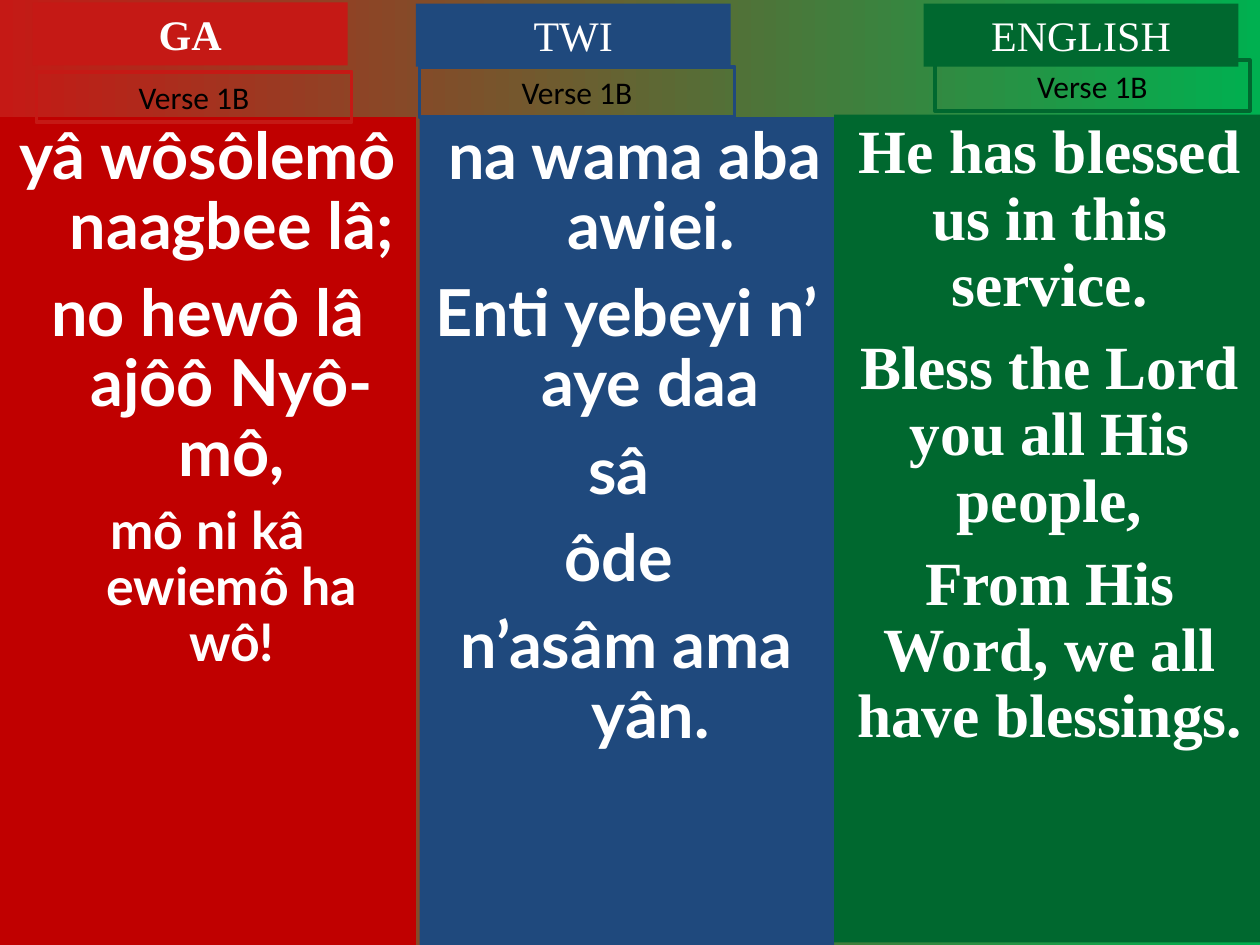
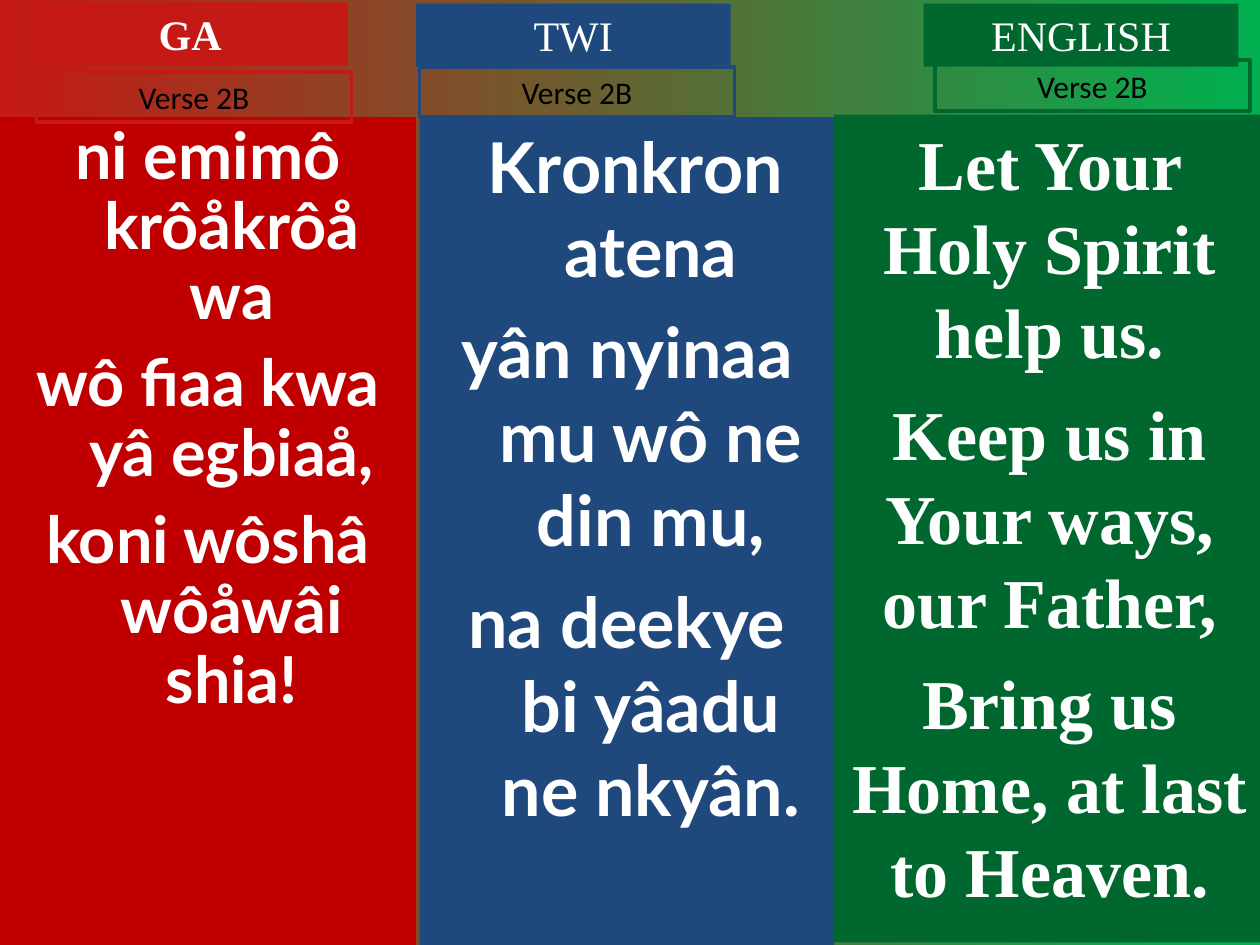
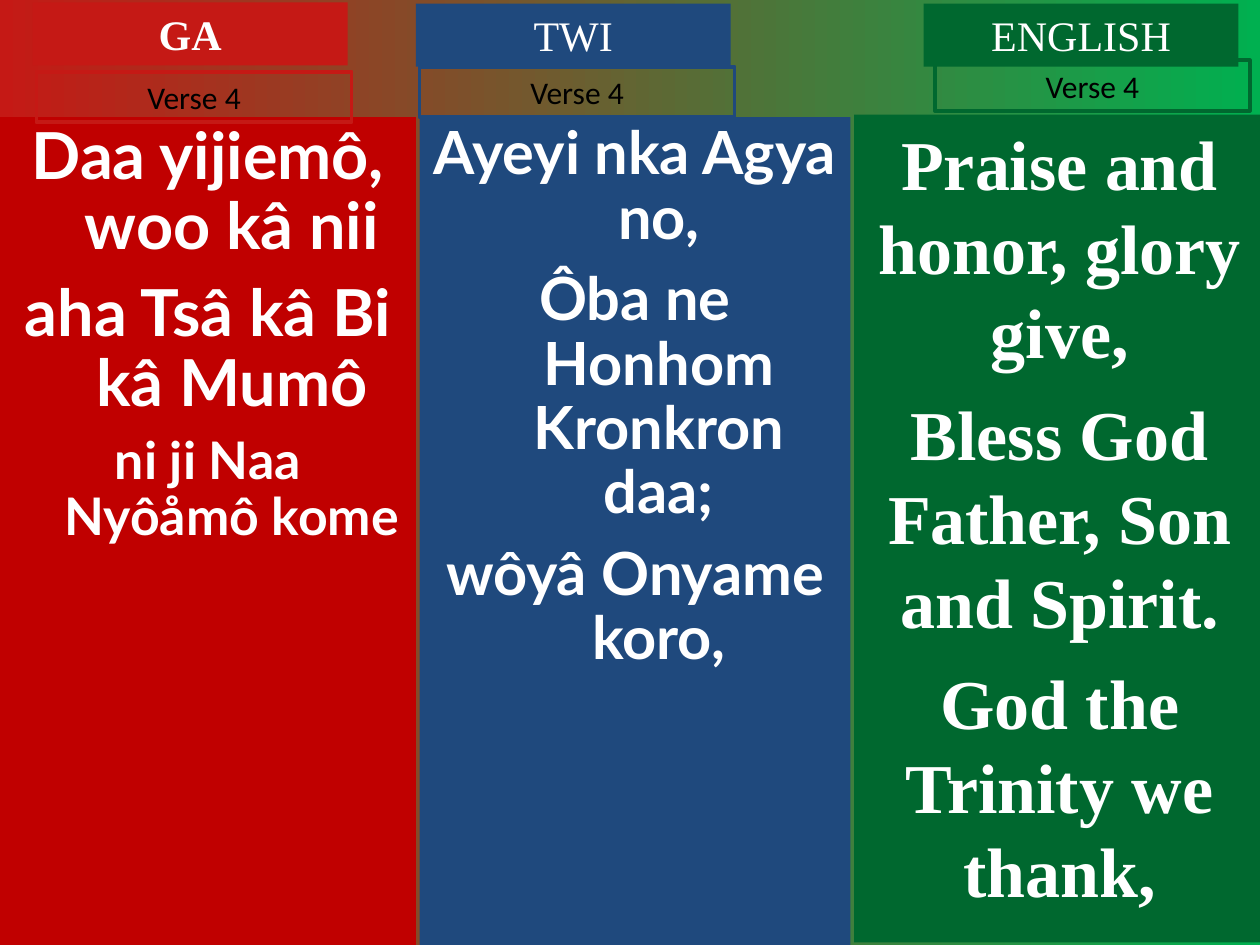
from dataclasses import dataclass

import pptx
import pptx.dml.color
import pptx.enum.text
import pptx.util
from lxml import etree
from pptx.oxml.ns import qn
from pptx.util import Inches, Pt

COLORS = {
    "red": "C51915",
    "deep": "C00000",
    "blue": "1F497D",
    "green": "00682F",
    "lime": "00B050",
    "white": "FFFFFF",
    "black": "000000",
}
SERIF = "Times New Roman"
INDENT = 0.38
GAP = 0.03
EDGE = 10.04


@dataclass(frozen=True)
class Box:
    left: float
    top: float
    width: float
    height: float


@dataclass(frozen=True)
class Tongue:
    name: str
    hue: str
    head: Box
    tag: Box
    bold: bool = False


@dataclass(frozen=True)
class Line:
    text: str
    size: float
    before: float = 10


@dataclass(frozen=True)
class Verse:
    label: str
    ga: list[Line]
    twi: list[Line]
    english: list[Line]
    split: float = 6.62
    gap: float = 0
    twi_pitch: float = 0.9
    eng_pitch: float = 1.0


TONGUES = [
    Tongue("GA", "red", Box(0.26, 0.02, 2.5, 0.5), Box(0.29, 0.57, 2.5, 0.4), True),
    Tongue("TWI", "blue", Box(3.3, 0.03, 2.5, 0.5), Box(3.33, 0.53, 2.5, 0.4)),
    Tongue("ENGLISH", "green", Box(7.33, 0.03, 2.5, 0.5), Box(7.42, 0.48, 2.5, 0.4)),
]


def lines(size: float, *texts: str, before: float = 10) -> list[Line]:
    return [Line(text, size, before) for text in texts]


VERSES = [
    Verse(
        "Verse 1B",
        lines(37, "yâ wôsôlemô naagbee lâ;", "no hewô lâ ajôô Nyô-mô,")
        + lines(29.6, "mô ni kâ ewiemô ha wô!", before=8),
        lines(37, " na wama aba awiei.", "Enti yebeyi n’ aye daa", "sâ ", "ôde ",
              "n’asâm ama yân."),
        lines(35.1, "He has blessed us in this service.",
              "Bless the Lord you all His people,",
              "From His Word, we all have blessings.", before=9.5),
        eng_pitch=0.9,
    ),
    Verse(
        "Verse 2B",
        lines(37, "ni emimô krôåkrôå wa", "wô fiaa kwa yâ egbiaå,",
              "koni wôshâ wôåwâi shia!"),
        lines(40, " Kronkron atena", "yân nyinaa mu wô ne din mu,",
              "na deekye bi yâadu ne nkyân."),
        lines(40, "Let Your Holy Spirit help us.", "Keep us in Your ways, our Father,",
              "Bring us Home, at last to Heaven."),
        twi_pitch=1.0,
    ),
    Verse(
        "Verse 4",
        lines(37, "Daa yijiemô, woo kâ nii", "aha Tsâ kâ Bi kâ Mumô")
        + lines(29.6, "ni ji Naa Nyôåmô kome", before=8),
        lines(34, "Ayeyi nka Agya no,", "Ôba ne Honhom Kronkron daa;", "wôyâ Onyame koro,"),
        lines(40, "Praise and honor, glory give,", "Bless God Father, Son and Spirit.",
              "God the Trinity we thank,"),
        split=6.75,
        gap=GAP,
    ),
]


def color(name: str) -> pptx.dml.color.RGBColor:
    return pptx.dml.color.RGBColor.from_string(COLORS[name])


def paint(shape, hue: str) -> None:
    shape.fill.solid()
    shape.fill.fore_color.rgb = color(hue)


def place(shape, box: Box) -> None:
    shape.left, shape.top = Inches(box.left), Inches(box.top)
    shape.width, shape.height = Inches(box.width), Inches(box.height)


def style(para, face: str, size: float, hue: str, bold: bool) -> None:
    para.alignment = pptx.enum.text.PP_ALIGN.CENTER
    para.font.name = face
    para.font.size = Pt(size)
    para.font.bold = bold
    para.font.color.rgb = color(hue)


def add_box(slide, box: Box):
    shape = slide.shapes.add_textbox(0, 0, 0, 0)
    place(shape, box)
    shape.text_frame.word_wrap = True
    return shape


def add_label(slide, box: Box, text: str, face: str, size: float, hue: str, bold: bool):
    shape = add_box(slide, box)
    frame = shape.text_frame
    frame.auto_size = pptx.enum.text.MSO_AUTO_SIZE.SHAPE_TO_FIT_TEXT
    frame.text = text
    style(frame.paragraphs[0], face, size, hue, bold)
    return shape


def fill_lyrics(shape, hue: str, rows: list[Line], face: str, pitch: float,
                indent: float) -> None:
    paint(shape, hue)
    frame = shape.text_frame
    frame.auto_size = pptx.enum.text.MSO_AUTO_SIZE.NONE
    frame.text = "\n".join(row.text for row in rows)
    for i, (para, row) in enumerate(zip(frame.paragraphs, rows)):
        props = para._p.get_or_add_pPr()
        props.set("marL", str(Inches(indent)))
        props.set("indent", str(-Inches(indent)))
        etree.SubElement(props, qn("a:buNone"))
        para.line_spacing = pitch
        para.space_before = Pt(row.before if i else 0)
        style(para, face, row.size, "white", True)


def add_verse(deck, verse: Verse) -> None:
    slide = deck.slides.add_slide(deck.slide_layouts.get_by_name("Two Content"))
    title = slide.shapes.title._element
    title.getparent().remove(title)

    ga, twi = slide.placeholders
    start = 3.3 + GAP
    place(ga, Box(0, 0.93, 3.3, 6.57))
    place(twi, Box(start, 0.93, verse.split - start, 6.57))
    fill_lyrics(ga, "deep", verse.ga, "Lato", 0.9, INDENT)
    fill_lyrics(twi, "blue", verse.twi, "Lato", verse.twi_pitch, INDENT)
    left = verse.split + verse.gap
    english = add_box(slide, Box(left, 0.91, EDGE - left, 6.57))
    fill_lyrics(english, "green", verse.english, SERIF, verse.eng_pitch, 0)

    for tongue in TONGUES:
        tag = add_label(slide, tongue.tag, verse.label, "Calibri", 18, "black", False)
        tag.line.color.rgb = color(tongue.hue)
        tag.line.width = Pt(2.25)
        head = add_label(slide, tongue.head, tongue.name, SERIF, 24, "white", tongue.bold)
        paint(head, tongue.hue)


def main() -> None:
    deck = pptx.Presentation()
    deck.slide_width, deck.slide_height = Inches(10), Inches(7.5)
    back = deck.slide_master.background.fill
    back.gradient()
    back.gradient_angle = 0
    for stop, hue in zip(back.gradient_stops, ("red", "lime")):
        stop.color.rgb = color(hue)
    for verse in VERSES:
        add_verse(deck, verse)
    deck.save("out.pptx")


if __name__ == "__main__":
    main()
